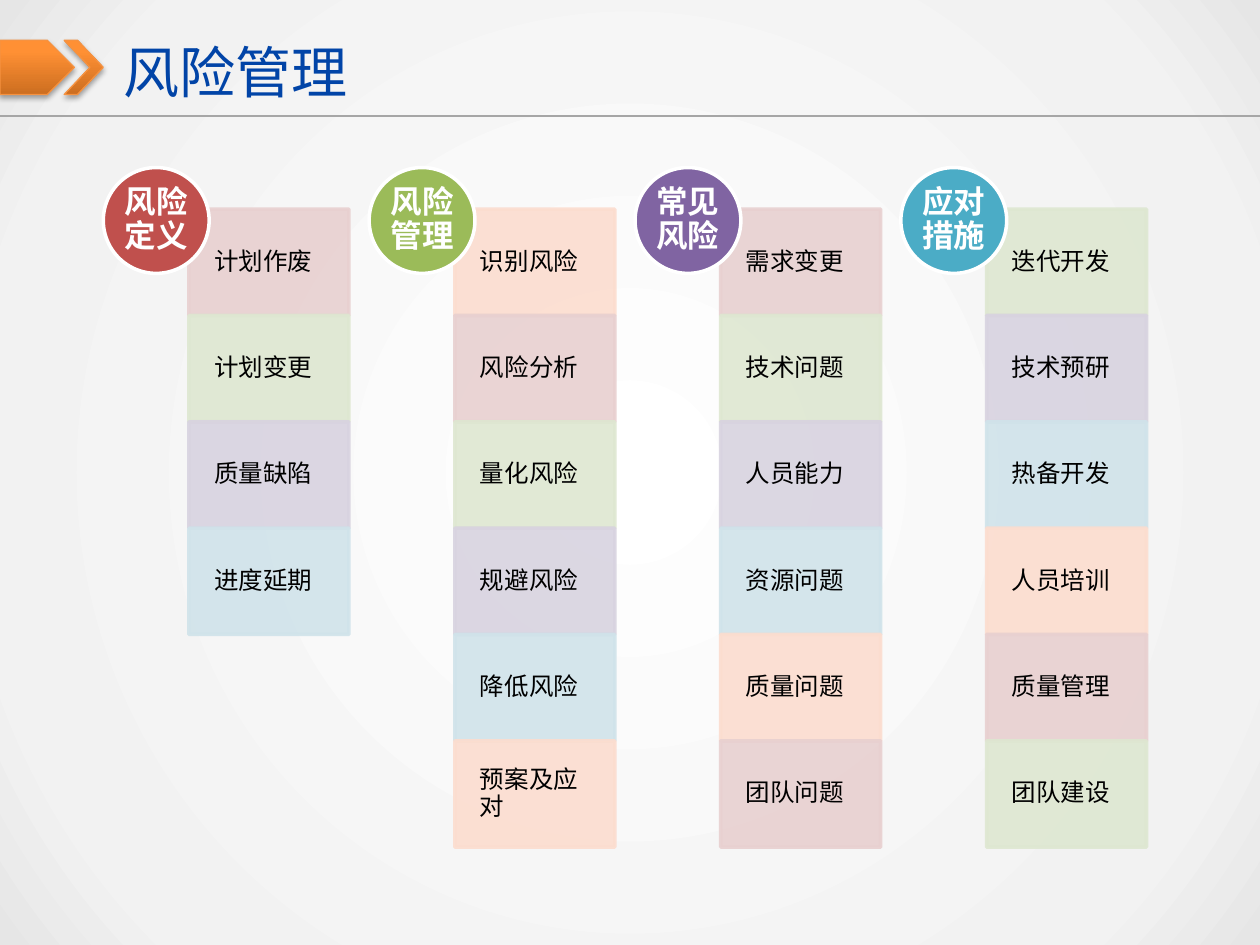
import itertools

import lxml.etree
import pptx
import pptx.dml.color
import pptx.enum.shapes
import pptx.enum.text
import pptx.oxml
import pptx.oxml.ns
import pptx.util

Inches = pptx.util.Inches
Shapes = pptx.enum.shapes.MSO_SHAPE
Align = pptx.enum.text.PP_ALIGN
NAMESPACE = "http://schemas.openxmlformats.org/drawingml/2006/main"
FONT_NAME = "Noto Sans CJK SC"
CELL_COLORS = ["E8D0D0", "DEE7D1", "D8D3E0", "D0E3EA", "FCDDCF"]
ORANGE_STOPS = [(0, "CC6E20"), (80, "FF9034"), (100, "FF9136")]
BACKGROUND_STOPS = [(0, "FFFFFF"), (82, "F2F2F2"), (100, "E6E6E6")]
COLUMNS = [
    ("风险定义", "C0504D", ["计划作废", "计划变更", "质量缺陷", "进度延期"]),
    ("风险管理", "9BBB59", ["识别风险", "风险分析", "量化风险", "规避风险", "降低风险", "预案及应对"]),
    ("常见风险", "8064A2", ["需求变更", "技术问题", "人员能力", "资源问题", "质量问题", "团队问题"]),
    ("应对措施", "4BACC6", ["迭代开发", "技术预研", "热备开发", "人员培训", "质量管理", "团队建设"]),
]


def color(value):
    return pptx.dml.color.RGBColor.from_string(value)


def element(markup):
    tag, rest = markup.split(" ", 1)
    return pptx.oxml.parse_xml(f'{tag} xmlns:a="{NAMESPACE}" {rest}')


def shadow(alpha):
    return element(
        f'<a:effectLst ><a:outerShdw blurRad="40000" dist="23000" dir="5400000" rotWithShape="0">'
        f'<a:srgbClr val="000000"><a:alpha val="{alpha * 1000}"/></a:srgbClr>'
        f'</a:outerShdw></a:effectLst>')


def set_gradient(fill, parent, stops, direction):
    fill.gradient()
    old = parent.find(".//" + pptx.oxml.ns.qn("a:gradFill"))
    marks = "".join(f'<a:gs pos="{position * 1000}"><a:srgbClr val="{value}"/></a:gs>'
                    for position, value in stops)
    old.getparent().replace(
        old, element(f'<a:gradFill rotWithShape="1"><a:gsLst>{marks}</a:gsLst>{direction}</a:gradFill>'))


def set_transparency(shape, percent):
    for value in shape._element.spPr.iter(pptx.oxml.ns.qn("a:srgbClr")):
        lxml.etree.SubElement(value, pptx.oxml.ns.qn("a:alpha"), val=str(percent * 1000))


def add_shape(slide, kind, box, line, width, fill=None):
    shape = slide.shapes.add_shape(kind, *map(Inches, box))
    shape.shadow.inherit = False
    if fill:
        shape.fill.solid()
        shape.fill.fore_color.rgb = color(fill)
    shape.line.color.rgb = color(line)
    shape.line.width = pptx.util.Pt(width)
    return shape


def write_text(shape, text, size, value, margins, align=Align.LEFT, bold=False, spacing=1.0):
    frame = shape.text_frame
    frame.word_wrap = True
    frame.vertical_anchor = pptx.enum.text.MSO_ANCHOR.MIDDLE
    for side, margin in zip(("left", "top", "right", "bottom"), margins):
        setattr(frame, f"margin_{side}", Inches(margin))
    paragraph = frame.paragraphs[0]
    paragraph.alignment = align
    paragraph.line_spacing = spacing
    run = paragraph.add_run()
    run.text = text
    formats = {"name": FONT_NAME, "size": pptx.util.Pt(size), "bold": bold}
    for name, setting in formats.items():
        setattr(run.font, name, setting)
    run.font.color.rgb = color(value)
    properties = run._r.get_or_add_rPr()
    properties.find(pptx.oxml.ns.qn("a:latin")).addnext(
        element(f'<a:ea typeface="{FONT_NAME}"/>'))
    return properties


def add_header(slide, left, top, width, height):
    arrows = [(Shapes.PENTAGON, 0, 0.59, 0.5), (Shapes.CHEVRON, 0.51, 0.31, 0.66)]
    for kind, offset, arrow_width, adjustment in arrows:
        arrow = add_shape(slide, kind, (left + offset, top + 0.32, arrow_width, 0.43), "F69240", 0.75)
        arrow.adjustments[0] = adjustment
        properties = arrow._element.spPr
        set_gradient(arrow.fill, properties, ORANGE_STOPS, '<a:lin ang="16200000" scaled="0"/>')
        properties.replace(properties.find(pptx.oxml.ns.qn("a:effectLst")), shadow(35))

    title = slide.shapes.add_textbox(*map(Inches, (left + 0.98, top + 0.21, width - 1.18, 0.71)))
    properties = write_text(title, "风险管理", 32, "0144A7", (0, 0.05, 0, 0.05))
    properties.find(pptx.oxml.ns.qn("a:solidFill")).addnext(shadow(40))

    bottom = Inches(top + height)
    rule = slide.shapes.add_connector(pptx.enum.shapes.MSO_CONNECTOR.STRAIGHT,
                                      Inches(left), bottom, Inches(left + width), bottom)
    rule.line.color.rgb = color("A6A6A6")
    rule.line.width = pptx.util.Pt(0.75)
    lxml.etree.SubElement(rule._element.spPr, pptx.oxml.ns.qn("a:effectLst"))


def add_column(slide, left, top, heading, accent, items, fills):
    cell_height = 0.844
    for row, (item, fill) in enumerate(zip(items, fills)):
        box = (left + 0.68, top + 0.33 + row * cell_height, 1.27, cell_height)
        cell = add_shape(slide, Shapes.RECTANGLE, box, fill, 2, fill)
        set_transparency(cell, 90)
        write_text(cell, item, 14, "000000", (0.2, 0.11, 0.12, 0.11), spacing=0.9)
    badge = add_shape(slide, Shapes.OVAL, (left, top, 0.84, 0.84), "FFFFFF", 2, accent)
    write_text(badge, heading, 18, "FFFFFF", (0, 0, 0, 0), Align.CENTER, True, 0.9)


def main():
    presentation = pptx.Presentation()
    presentation.slide_width = Inches(10)
    presentation.slide_height = Inches(7.5)
    slide = presentation.slides.add_slide(presentation.slide_layouts[6])
    set_gradient(slide.background.fill, slide._element, BACKGROUND_STOPS,
                 '<a:path path="circle"><a:fillToRect l="50000" t="50000" r="50000" b="50000"/></a:path>')
    add_header(slide, 0, 0, 10, 0.92)
    palette = itertools.cycle(CELL_COLORS)
    for index, (heading, accent, items) in enumerate(COLUMNS):
        fills = list(itertools.islice(palette, len(items)))
        add_column(slide, 0.82 + index * 2.11, 1.33, heading, accent, items, fills)
    presentation.save("out.pptx")


if __name__ == "__main__":
    main()
